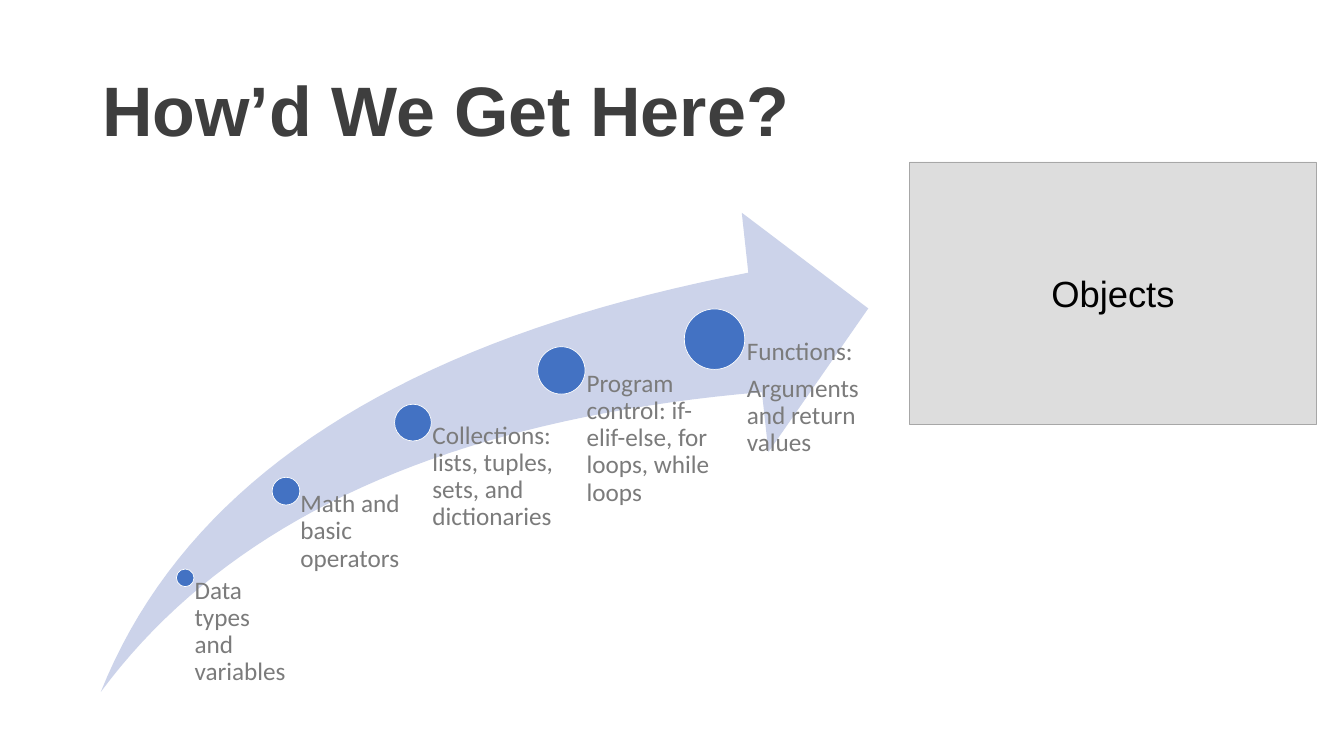
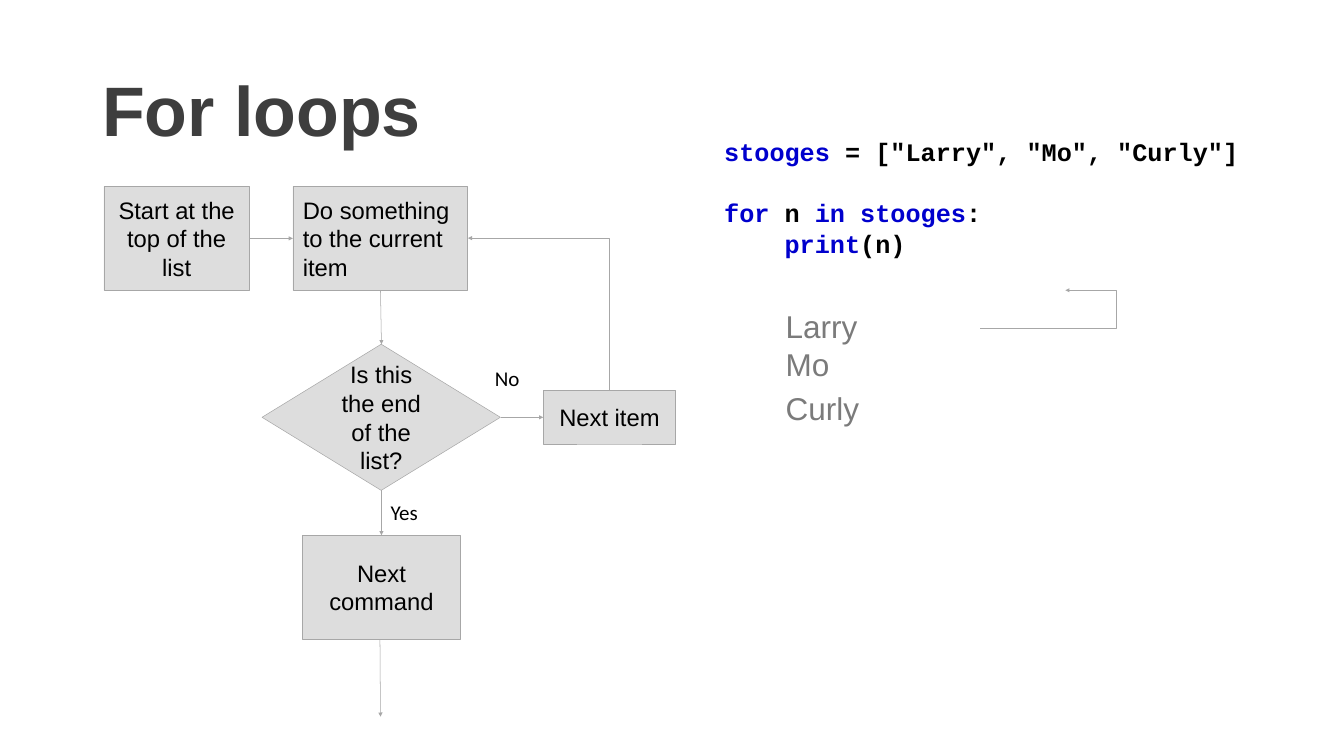
from lxml import etree
from pptx import Presentation
from pptx import util as u
from pptx.dml import color
from pptx.enum import shapes, text
from pptx.oxml import ns

PX = 9144  # one px is a hundredth of an inch
KIND = shapes.MSO_SHAPE
ALIGN = text.PP_ALIGN
ANCHOR = text.MSO_ANCHOR
FIT = text.MSO_AUTO_SIZE.SHAPE_TO_FIT_TEXT

THEME = {
    "title": {"font": "Arial", "size": 100, "bold": True, "colour": "3E3E3E"},
    "step": {"font": "Calibri", "size": 36, "bold": False, "colour": "7B7B7B"},
    "topic": {"font": "Arial", "size": 52, "bold": False, "colour": "000000"},
    "box": {"font": "Arial", "size": 34, "bold": False, "colour": "000000"},
    "branch": {"font": "Calibri", "size": 30, "bold": False, "colour": "000000"},
    "output": {"font": "Arial", "size": 45, "bold": False, "colour": "7B7B7B"},
    "code": {"font": "Courier New", "size": 36, "bold": True, "colour": "000000"},
    "colours": {name: color.RGBColor.from_string(value) for name, value in {
        "arrow": "CCD3EA", "dot": "4372C3", "white": "FFFFFF",
        "box": "DDDDDD", "line": "A7A7A7"}.items()},
    "keyword": "0000CD",
    "line_width": u.Pt(0.75),
}
COLOURS = THEME["colours"]


def write_text(shape, paragraphs, style, insets=(20, 20, 20, 20), frame_format=None, **paragraph_format):
    """Each paragraph is a string or a list of (words, colour) runs."""
    frame = shape.text_frame
    frame.word_wrap = True
    for side, inset in zip(("left", "top", "right", "bottom"), insets):
        setattr(frame, f"margin_{side}", inset * PX)
    for name, value in (frame_format or {}).items():
        setattr(frame, name, value)
    look = THEME[style]
    for index, runs in enumerate(paragraphs):
        paragraph = frame.add_paragraph() if index else frame.paragraphs[0]
        for name, value in {"alignment": ALIGN.LEFT, **paragraph_format}.items():
            setattr(paragraph, name, value)
        for words, colour in [(runs, look["colour"])] if isinstance(runs, str) else runs:
            run = paragraph.add_run()
            run.text = words
            for name, value in {"name": look["font"], "size": u.Pt(look["size"]), "bold": look["bold"]}.items():
                setattr(run.font, name, value)
            run.font.color.rgb = color.RGBColor.from_string(colour)


def add_arrow(slide, kind, ends):
    connector = slide.shapes.add_connector(kind, *(PX * value for value in ends))
    connector.line.color.rgb = COLOURS["line"]
    connector.line.width = THEME["line_width"]
    etree.SubElement(connector.line._get_or_add_ln(), ns.qn("a:tailEnd"), type="triangle")
    etree.SubElement(connector._element.spPr, ns.qn("a:effectLst"))
    return connector


presentation = Presentation()
presentation.slide_width, presentation.slide_height = 2667 * PX, 1500 * PX

# Slides and titles
slides = []
for heading in ("How’d We Get Here?", "For loops"):
    slide = presentation.slides.add_slide(presentation.slide_layouts[5])
    title = slide.shapes.title
    title.left, title.top, title.width, title.height = (PX * value for value in (183, 80, 2300, 290))
    write_text(title, [heading], "title", (20, 10, 20, 10),
               {"vertical_anchor": ANCHOR.MIDDLE, "auto_size": text.MSO_AUTO_SIZE.NONE}, line_spacing=0.9)
    slides.append(slide)
journey, loops = slides

# Swooping arrow: upper curve, head, lower curve, all in EMU to keep the curves smooth
curves = []
for points in (((200, 1373), (369, 950), (798, 673), (1485, 541)),
               ((1512, 778), (891, 831), (454, 1030), (200, 1373))):
    curve = []
    for step in range(41):
        t = step / 40
        weights = ((1 - t) ** 3, 3 * t * (1 - t) ** 2, 3 * t ** 2 * (1 - t), t ** 3)
        curve.append(tuple(round(PX * sum(w * p[axis] for w, p in zip(weights, points))) for axis in (0, 1)))
    curves.append(curve)
upper, lower = curves
head = [(x * PX, y * PX) for x, y in ((1472, 422), (1723, 612), (1525, 897))]
group = journey.shapes.add_group_shape()
builder = group.shapes.build_freeform(*upper[0])
builder.add_line_segments(upper[1:] + head + lower[:-1], close=True)
swoosh = builder.convert_to_shape()
swoosh.shadow.inherit = False
swoosh.fill.solid()
swoosh.fill.fore_color.rgb = COLOURS["arrow"]
swoosh.line.fill.background()

# Steps along the arrow: dot left, top, diameter; label width and inset.
# Every label starts at its dot's centre and ends at the arrow's foot.
for left, top, size, width, inset, label in (
    (350, 1129, 35, 205, 19, ["Data types and variables"]),
    (540, 947, 55, 253, 29, ["Math and basic operators"]),
    (783, 802, 73, 294, 39, ["Collections: lists, tuples, sets, and dictionaries"]),
    (1067, 688, 94, 305, 50, ["Program control: if- elif-else, for loops, while loops"]),
    (1358, 613, 120, 305, 64, ["Functions:", "Arguments and return values"]),
):
    dot = group.shapes.add_shape(KIND.OVAL, *(PX * value for value in (left, top, size, size)))
    dot.shadow.inherit = False
    dot.fill.solid()
    dot.fill.fore_color.rgb = COLOURS["dot"]
    dot.line.color.rgb = COLOURS["white"]
    dot.line.width = u.Pt(1)
    x, y = left + size // 2, top + size // 2
    caption = group.shapes.add_textbox(*(PX * value for value in (x, y, width, 1373 - y)))
    write_text(caption, label, "step", (inset, 0, 0, 0), line_spacing=0.9)
    for paragraph in caption.text_frame.paragraphs[1:]:
        paragraph.space_before = u.Pt(13)

# Grey boxes on both slides
for slide, kind, box, style, align, words in (
    (journey, KIND.RECTANGLE, (1805, 321, 807, 521), "topic", ALIGN.CENTER, ["Objects"]),
    (loops, KIND.RECTANGLE, (206, 370, 289, 206), "box", ALIGN.CENTER, ["Start at the top of the list"]),
    (loops, KIND.DIAMOND, (520, 683, 473, 290), "box", ALIGN.CENTER, ["Is this the end of the list?"]),
    (loops, KIND.RECTANGLE, (581, 370, 347, 206), "box", ALIGN.LEFT, ["Do something", "to the current item"]),
    (loops, KIND.RECTANGLE, (600, 1062, 314, 206), "box", ALIGN.CENTER, ["Next command"]),
    (loops, KIND.RECTANGLE, (1078, 774, 263, 107), "box", ALIGN.CENTER, ["Next item"]),
):
    shape = slide.shapes.add_shape(kind, *(PX * value for value in box))
    shape.shadow.inherit = False
    shape.fill.solid()
    shape.fill.fore_color.rgb = COLOURS["box"]
    shape.line.color.rgb = COLOURS["line"]
    shape.line.width = THEME["line_width"]
    write_text(shape, words, style, frame_format={"vertical_anchor": ANCHOR.MIDDLE}, alignment=align)

# Straight arrows of the flowchart
for ends in ((495, 473, 581, 473), (755, 576, 757, 683), (757, 973, 757, 1062),
             (994, 828, 1078, 828), (754, 1268, 755, 1422)):
    add_arrow(loops, shapes.MSO_CONNECTOR.STRAIGHT, ends)

# Return arrow: one bend, turned so that it leaves "Next item" upwards
back = add_arrow(loops, shapes.MSO_CONNECTOR.ELBOW, (918, 483, 1220, 764))
back._element.spPr.find(ns.qn("a:prstGeom")).set("prst", "bentConnector2")
for name, value in {"rot": "5400000", "flipH": "1"}.items():
    back._element.spPr.find(ns.qn("a:xfrm")).set(name, value)

# Printed output, with a looping arrow whose bend lies beyond its end
output = loops.shapes.add_shape(KIND.RECTANGLE, *(PX * value for value in (1539, 590, 656, 268)))
output.shadow.inherit = False
output.fill.solid()
output.fill.fore_color.rgb = COLOURS["white"]
output.line.fill.background()
write_text(output, ["Larry", "Mo", "Curly"], "output",
           frame_format={"vertical_anchor": ANCHOR.TOP, "auto_size": FIT})
output.text_frame.paragraphs[2].line_spacing = 1.15
repeat = add_arrow(loops, shapes.MSO_CONNECTOR.ELBOW, (1945, 652, 2114, 576))
geometry = repeat._element.spPr.find(ns.qn("a:prstGeom"))
guides = geometry.find(ns.qn("a:avLst"))
if guides is None:
    guides = etree.SubElement(geometry, ns.qn("a:avLst"))
etree.SubElement(guides, ns.qn("a:gd"), name="adj1", fmla="val 159600")

# Code sample
plain, keyword = THEME["code"]["colour"], THEME["keyword"]
code = loops.shapes.add_textbox(*(PX * value for value in (1417, 251, 1131, 283)))
write_text(code, [
    [("stooges", keyword), (' = ["Larry", "Mo", "Curly"]', plain)],
    [("for", keyword), (" n ", plain), ("in stooges", keyword), (":", plain)],
    [("print", keyword), ("(n)", plain)],
], "code", frame_format={"auto_size": FIT})
loop_line, body_line = code.text_frame.paragraphs[1:]
loop_line.space_before = u.Pt(44)
body_line._p.get_or_add_pPr().set("marL", str(120 * PX))

# Branch labels
for left, top, answer in ((962, 705, "No"), (755, 972, "Yes")):
    branch = loops.shapes.add_textbox(*(PX * value for value in (left, top, 116, 91)))
    write_text(branch, [answer], "branch", frame_format={"auto_size": FIT})

presentation.save("out.pptx")
